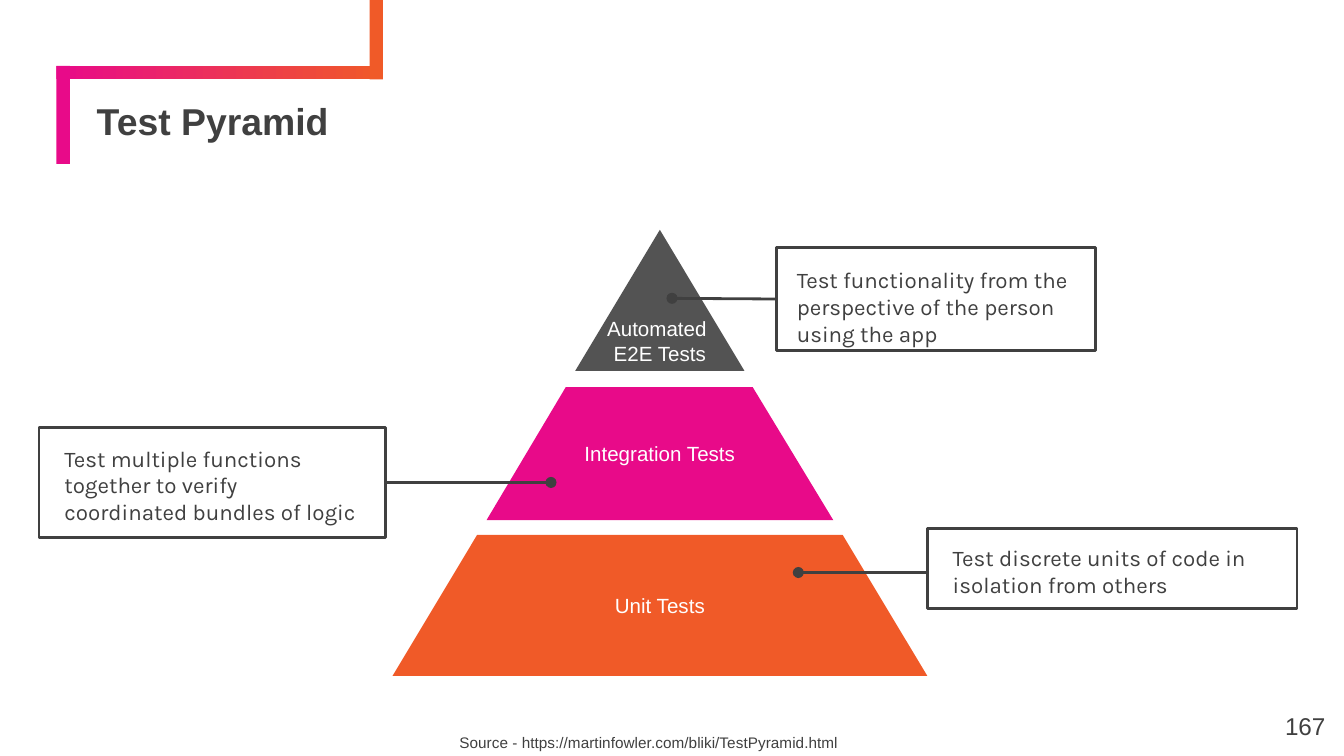
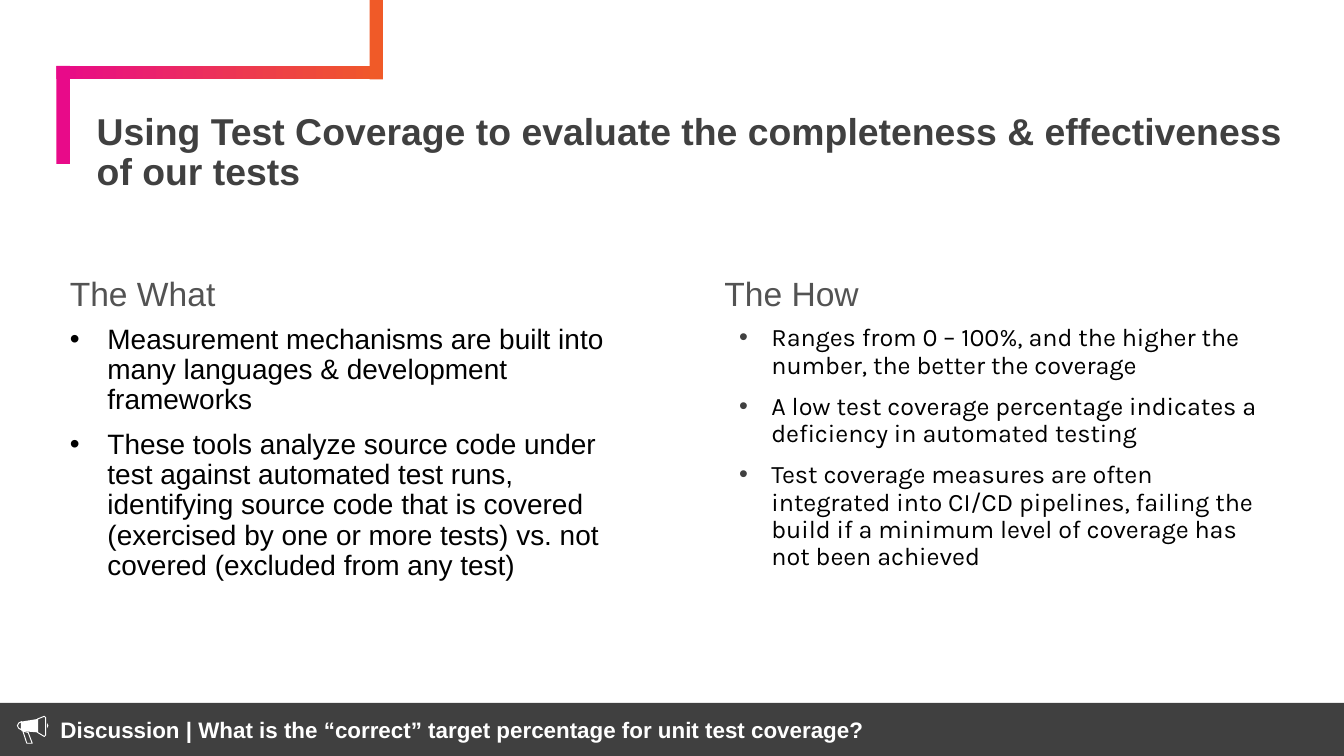
import pptx
import pptx.util
import pptx.dml.color
import pptx.enum.shapes
import pptx.enum.text
import pptx.oxml.ns
from lxml import etree

Inches, Pt = pptx.util.Inches, pptx.util.Pt
RGBColor = pptx.dml.color.RGBColor
MSO_SHAPE = pptx.enum.shapes.MSO_SHAPE
MSO_ANCHOR = pptx.enum.text.MSO_ANCHOR
PP_ALIGN = pptx.enum.text.PP_ALIGN
qn = pptx.oxml.ns.qn

DARK = RGBColor(0x40, 0x40, 0x40)
GREY = RGBColor(0x53, 0x53, 0x53)
PINK = RGBColor(0xE8, 0x0A, 0x89)
ORANGE = RGBColor(0xF0, 0x5A, 0x28)
WHITE = RGBColor(0xFF, 0xFF, 0xFF)
BLACK = RGBColor(0, 0, 0)

SLIDE_W = 10
SLIDE_H = SLIDE_W * 9 / 16
BAR = 0.1
SHAPE_INSETS = (0.07, 0.04)
LEFT_SITE, RIGHT_SITE = 1, 3


def add_bullet(p, color):
    pPr = p._p.get_or_add_pPr()
    clr = etree.SubElement(pPr, qn("a:buClr"))
    etree.SubElement(clr, qn("a:srgbClr"), val=str(color))
    etree.SubElement(pPr, qn("a:buFont"), typeface="Arial")
    etree.SubElement(pPr, qn("a:buChar"), char="•")


def write(shape, *lines, size, color=DARK, font="Arial", bold=False,
          align=PP_ALIGN.LEFT, anchor=MSO_ANCHOR.TOP, insets=(0.1, 0.05),
          spacing=None, before=0, margin=0, hanging=0, bullet=None):
    """Fill a shape with one paragraph per line; insets are (sides, top and bottom)."""
    tf = shape.text_frame
    tf.word_wrap = True
    tf.vertical_anchor = anchor
    tf.margin_left = tf.margin_right = Inches(insets[0])
    tf.margin_top = tf.margin_bottom = Inches(insets[1])
    for i, line in enumerate(lines):
        p = tf.paragraphs[0] if i == 0 else tf.add_paragraph()
        p.alignment = align
        if spacing:
            p.line_spacing = spacing
        if before and i:
            p.space_before = Pt(before)
        pPr = p._p.get_or_add_pPr()
        pPr.set("marL", str(Inches(margin)))
        pPr.set("indent", str(Inches(-hanging)))
        if bullet is not None:
            add_bullet(p, bullet)
        r = p.add_run()
        r.text = line
        r.font.name = font
        r.font.size = Pt(size)
        r.font.bold = bold
        r.font.color.rgb = color


def add_text(s, box, *lines, **fmt):
    write(s.shapes.add_textbox(*map(Inches, box)), *lines, **fmt)


def style(shape, fill=None, line=None, width=1.5):
    shape.shadow.inherit = False
    if fill is None:
        shape.fill.background()
    else:
        shape.fill.solid()
        shape.fill.fore_color.rgb = fill
    if line is None:
        shape.line.fill.background()
    else:
        shape.line.color.rgb = line
        shape.line.width = Pt(width)
    return shape


def add_rect(s, box, fill=None, line=None):
    rect = s.shapes.add_shape(MSO_SHAPE.RECTANGLE, *map(Inches, box))
    return style(rect, fill, line)


def add_polygon(s, points, fill=None, line=None, width=1.5):
    start, *rest = [(Inches(x), Inches(y)) for x, y in points]
    builder = s.shapes.build_freeform(*start)
    builder.add_line_segments(rest, close=True)
    return style(builder.convert_to_shape(), fill, line, width)


def add_titled_slide(prs, title, title_height):
    s = prs.slides.add_slide(prs.slide_layouts[6])
    ribbon = add_rect(s, (0.42, 0.49, 2.43, BAR), ORANGE)
    ribbon.fill.gradient()
    ribbon.fill.gradient_angle = 0
    for stop, color in zip(ribbon.fill.gradient_stops, (PINK, ORANGE)):
        stop.color.rgb = color
    add_rect(s, (0.42, 0.49, BAR, 0.73), PINK)
    add_rect(s, (2.75, 0, BAR, 0.59), ORANGE)
    add_text(s, (0.67, 0.78, 9.03, title_height), title, size=20, bold=True,
             anchor=MSO_ANCHOR.BOTTOM, insets=(0.05, 0.05), spacing=0.9)
    return s


def add_level(s, points, fill, *lines, anchor=MSO_ANCHOR.MIDDLE):
    write(add_polygon(s, points, fill), *lines, size=11, color=WHITE,
          align=PP_ALIGN.CENTER, anchor=anchor, insets=SHAPE_INSETS)


def add_callout(s, text, box, text_box, dot, site=None):
    """Boxed note with a line to a dot on the pyramid, joined at site if given."""
    dot_x, dot_y = map(Inches, dot)
    line = s.shapes.add_connector(pptx.enum.shapes.MSO_CONNECTOR.STRAIGHT,
                                  dot_x, dot_y, Inches(box[0]), dot_y)
    line.line.color.rgb = DARK
    line.line.width = Pt(1.5)
    etree.SubElement(line.line._get_or_add_ln(), qn("a:headEnd"), type="oval")
    etree.SubElement(line._element.spPr, qn("a:effectLst"))
    rect = add_rect(s, box, WHITE, DARK)
    if site is not None:
        line.end_connect(rect, site)
    add_text(s, text_box, text, size=12, font="Karla", margin=0.09)


def add_column(s, left, heading, *points, **fmt):
    add_text(s, (left, 2.42, 4.1, 2.39), *points, insets=(0, 0),
             spacing=0.9, before=7.5, color=BLACK, **fmt)
    add_text(s, (left, 1.96, 4.1, 0.37), heading, size=18, color=GREY,
             anchor=MSO_ANCHOR.BOTTOM, insets=(0, 0))


def add_megaphone(s):
    horn = [(0.16, 5.37), (0.28, 5.35), (0.28, 5.45), (0.16, 5.44)]
    cap = [(0.35, 5.38), (0.36, 5.4), (0.35, 5.42)]
    bell = [(0.28, 5.35), (0.33, 5.33), (0.34, 5.34), (0.34, 5.47),
            (0.33, 5.48), (0.28, 5.45)]
    handle = [(0.17, 5.44), (0.2, 5.53), (0.24, 5.53), (0.21, 5.45)]
    mouthpiece = [(0.16, 5.37), (0.14, 5.38), (0.13, 5.4), (0.14, 5.42),
                  (0.16, 5.43)]
    for solid in (horn, cap):
        add_polygon(s, solid, WHITE)
    for outline in (bell, handle, mouthpiece):
        add_polygon(s, outline, line=WHITE, width=0.5)


def add_discussion(s, question):
    top = 5.23
    bar = add_rect(s, (0, top, SLIDE_W, SLIDE_H - top), DARK)
    write(bar, f"Discussion | {question}", size=12, color=WHITE, bold=True,
          anchor=MSO_ANCHOR.MIDDLE, insets=SHAPE_INSETS, margin=0.38)
    add_megaphone(s)


def build_pyramid_slide(prs):
    s = add_titled_slide(prs, "Test Pyramid", 0.34)
    add_text(s, (2.05, 5.41, 5.56, 0.22),
             "Source - https://martinfowler.com/bliki/TestPyramid.html",
             size=8.25, align=PP_ALIGN.CENTER, anchor=MSO_ANCHOR.MIDDLE,
             insets=SHAPE_INSETS)
    add_level(s, [(4.91, 1.71), (4.28, 2.76), (5.54, 2.76)], GREY,
              "Automated ", "E2E Tests", anchor=MSO_ANCHOR.BOTTOM)
    add_level(s, [(3.62, 3.87), (6.2, 3.87), (5.6, 2.88), (4.21, 2.88)], PINK,
              "Integration Tests")
    add_level(s, [(2.92, 5.03), (6.9, 5.03), (6.27, 3.98), (3.55, 3.98)], ORANGE,
              "Unit Tests")
    add_text(s, (9.36, 5.19, 0.6, 0.43), "167", size=13,
             align=PP_ALIGN.RIGHT, insets=(0.1, 0.1))
    add_callout(s, "Test functionality from the perspective of the person using the app",
                (5.78, 1.84, 2.37, 0.77), (5.74, 1.93, 2.37, 0.71),
                (5, 2.22), LEFT_SITE)
    add_callout(s, "Test multiple functions together to verify coordinated bundles of logic",
                (0.29, 3.18, 2.58, 0.82), (0.29, 3.26, 2.48, 0.71),
                (4.1, 3.59), RIGHT_SITE)
    add_callout(s, "Test discrete units of code in isolation from others",
                (6.9, 3.93, 2.75, 0.6), (6.9, 4, 2.64, 0.5), (5.94, 4.26))


def build_coverage_slide(prs):
    s = add_titled_slide(prs, "Using Test Coverage to evaluate the completeness "
                         "& effectiveness of our tests", 0.71)
    add_column(s, 0.52, "The What",
               "Measurement mechanisms are built into many languages & "
               "development frameworks",
               "These tools analyze source code under test against automated test "
               "runs, identifying source code that is covered (exercised by one or "
               "more tests) vs. not covered (excluded from any test)",
               size=15, margin=0.28, hanging=0.28, bullet=BLACK)
    add_column(s, 5.39, "The How",
               "Ranges from 0 – 100%, and the higher the number, the better the coverage",
               "A low test coverage percentage indicates a deficiency in automated testing",
               "Test coverage measures are often integrated into CI/CD pipelines, "
               "failing the build if a minimum level of coverage has not been achieved",
               size=13.5, font="Karla", margin=0.35, hanging=0.24, bullet=DARK)
    add_discussion(s, "What is the “correct” target percentage for unit test coverage?")


def main():
    prs = pptx.Presentation()
    prs.slide_width, prs.slide_height = Inches(SLIDE_W), Inches(SLIDE_H)
    build_pyramid_slide(prs)
    build_coverage_slide(prs)
    prs.save("out.pptx")


if __name__ == "__main__":
    main()
